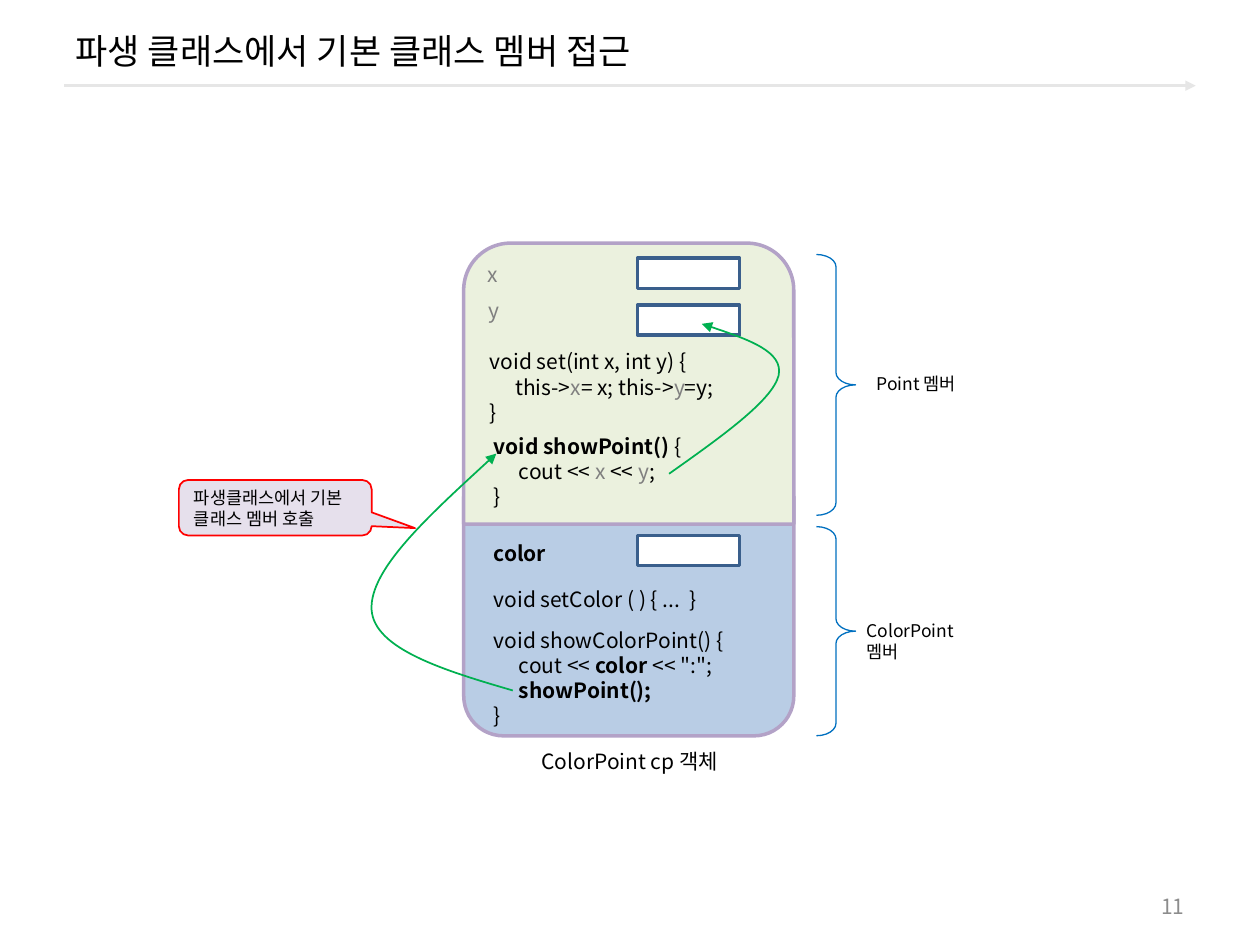
"""Builds a slide on reaching base class members from a derived class."""
import pptx
import pptx.util
import pptx.dml.color
import pptx.enum.shapes
import pptx.enum.text
import pptx.oxml.ns
import pptx.oxml.xmlchemy

Inches = pptx.util.Inches
Shape = pptx.enum.shapes.MSO_SHAPE
Align = pptx.enum.text.PP_ALIGN
Anchor = pptx.enum.text.MSO_ANCHOR
qn = pptx.oxml.ns.qn

COLORS = {
    "black": "000000", "white": "FFFFFF", "grey": "808080", "page": "8C8C8C",
    "rule": "E6E6E6", "green": "00B050", "blue": "0070C0", "navy": "3A5F8C",
    "red": "FF0000", "lilac": "E6E0EC", "violet": "B3A2C7",
    "base": "EBF1DE", "derived": "B9CDE5",
}
FONT = "Noto Sans CJK KR"


def tint(name):
    return pptx.dml.color.RGBColor.from_string(COLORS[name])


def add(parent, tag, **attrs):
    node = pptx.oxml.xmlchemy.OxmlElement(tag)
    for key, value in attrs.items():
        node.set(key, value)
    parent.append(node)
    return node


def write(frame, paras, size=12, color="black", bold=False, align=Align.LEFT,
          anchor=Anchor.TOP, wrap=True, indent=()):
    """Fill a frame; a run is text or a (text, "grey" or "bold") pair."""
    frame.word_wrap = wrap
    frame.vertical_anchor = anchor
    for row, runs in enumerate(paras):
        para = frame.paragraphs[0] if row == 0 else frame.add_paragraph()
        para.alignment = align
        if row in indent:
            para._p.get_or_add_pPr().set("marL", str(Inches(0.2)))
        for item in runs:
            words, mark = (item, "") if isinstance(item, str) else item
            run = para.add_run()
            run.text = words
            font = run.font
            font.name, font.size = FONT, pptx.util.Pt(size)
            font.bold = bold or mark == "bold"
            font.color.rgb = tint("grey" if mark == "grey" else color)
            add(run._r.get_or_add_rPr(), "a:ea", typeface=FONT)


class Deck:
    """Holds the style and the current slide."""

    def __init__(self):
        self.file = pptx.Presentation()
        self.file.slide_width, self.file.slide_height = Inches(10), Inches(7.5)
        self.slide = self.file.slides.add_slide(self.file.slide_layouts[5])
        self.shapes = self.slide.shapes

    def title(self, words, box):
        head = self.shapes.title
        head.left, head.top, head.width, head.height = map(Inches, box)
        write(head.text_frame, [[words]], size=20, anchor=Anchor.MIDDLE)

    def text(self, box, *paras, **fmt):
        item = self.shapes.add_textbox(*map(Inches, box))
        write(item.text_frame, paras, **fmt)

    def paint(self, item, fill, line, width):
        item.shadow.inherit = False
        if fill:
            item.fill.solid()
            item.fill.fore_color.rgb = tint(fill)
        else:
            item.fill.background()
        item.line.color.rgb = tint(line)
        item.line.width = pptx.util.Pt(width)

    def shape(self, kind, box, fill, line, width, turn=0, adjust=()):
        item = self.shapes.add_shape(kind, *map(Inches, box))
        self.paint(item, fill, line, width)
        item.rotation = turn
        for spot, value in enumerate(adjust):
            item.adjustments[spot] = value
        return item

    def slot(self, top):
        self.shape(Shape.RECTANGLE, (5.06, top, 0.81, 0.24), "white", "navy", 2)

    def brace(self, top, height):
        self.shape(Shape.RIGHT_BRACE, (6.48, top, 0.31, height), None, "blue",
                   0.75, adjust=(0.318, 0.5))

    def arrow(self, start, end, color, width):
        kind = pptx.enum.shapes.MSO_CONNECTOR.STRAIGHT
        item = self.shapes.add_connector(kind, *map(Inches, start + end))
        item.line.color.rgb = tint(color)
        item.line.width = pptx.util.Pt(width)
        add(item._element.spPr.get_or_add_ln(), "a:tailEnd", type="triangle")
        add(item._element.spPr, "a:effectLst")

    def curve(self, points):
        """Draw a Bezier arrow: a start, then three points for each bend."""
        (left, top), *rest = points
        pen = self.shapes.build_freeform(Inches(left), Inches(top))
        pen.add_line_segments([(Inches(x), Inches(y)) for x, y in rest], False)
        item = pen.convert_to_shape()
        self.paint(item, None, "green", 1)
        add(item._element.spPr.get_or_add_ln(), "a:tailEnd", type="triangle")
        lines = list(item._element.iter(qn("a:lnTo")))
        for first in range(0, len(lines), 3):
            bend = pptx.oxml.xmlchemy.OxmlElement("a:cubicBezTo")
            lines[first].addprevious(bend)
            for step in lines[first:first + 3]:
                bend.append(step[0])
                step.getparent().remove(step)


def main():
    deck = Deck()
    deck.arrow((0.51, 0.68), (9.49, 0.68), "rule", 1.5)
    deck.title("파생 클래스에서 기본 클래스 멤버 접근", (0.5, 0.08, 9, 0.64))
    deck.text((7.17, 7.03, 2.33, 0.32), ["11"], color="page",
              align=Align.RIGHT, anchor=Anchor.MIDDLE)

    half = Shape.ROUND_2_SAME_RECTANGLE
    deck.shape(half, (3.68, 3.94, 2.62, 1.9), "derived", "violet", 2, turn=180)
    deck.shape(half, (3.68, 1.93, 2.62, 2.23), "base", "violet", 2)
    deck.text((4.2, 5.89, 1.73, 0.3), ["ColorPoint cp 객체"])

    x, y = ("x", "grey"), ("y", "grey")
    deck.text((3.79, 2.72, 2.53, 0.71), ["void set(int x, int y) {"],
              ["this->", x, "= x; this->", y, "=y;"], ["}"], indent=(1,))
    deck.text((3.82, 3.39, 2.65, 0.71), [("void showPoint() ", "bold"), "{"],
              ["cout << ", x, " << ", y, ";"], ["}"], indent=(1,))
    deck.text((3.82, 4.24, 1.33, 0.3), ["color"], bold=True)
    deck.text((3.82, 4.93, 2.48, 0.91), ["void showColorPoint() {"],
              ["cout << ", ("color", "bold"), ' << ":";'],
              [("showPoint();", "bold")], ["}"], indent=(1, 2))
    deck.text((3.82, 4.61, 2.48, 0.3), ["void setColor ( ) { ...  }"])
    deck.text((3.77, 2.03, 0.76, 0.3), [x])
    deck.text((3.78, 2.31, 0.75, 0.3), [y])
    for top in (2.05, 2.42, 4.25):
        deck.slot(top)

    deck.curve([(4.07, 5.48), (3.52, 5.32), (2.97, 5.15), (2.95, 4.84),
                (2.93, 4.52), (3.44, 4.06), (3.94, 3.6)])
    deck.brace(2.02, 2.07)
    deck.text((6.86, 2.91, 0.86, 0.27), ["Point 멤버"], size=10, wrap=False)
    deck.brace(4.18, 1.66)
    deck.text((6.78, 4.87, 1.1, 0.44), ["ColorPoint 멤버"], size=10)
    note = deck.shape(Shape.ROUNDED_RECTANGULAR_CALLOUT,
                      (1.42, 3.81, 1.53, 0.44), "lilac", "red", 1,
                      adjust=(0.725, 0.368, 0.167))
    write(note.text_frame, [["파생클래스에서 기본 클래스 멤버 호출"]], size=10,
          anchor=Anchor.MIDDLE)
    deck.curve([(5.31, 3.76), (5.72, 3.47), (6.13, 3.18), (6.18, 2.98),
                (6.22, 2.79), (5.9, 2.68), (5.57, 2.57)])
    deck.file.save("out.pptx")


if __name__ == "__main__":
    main()
